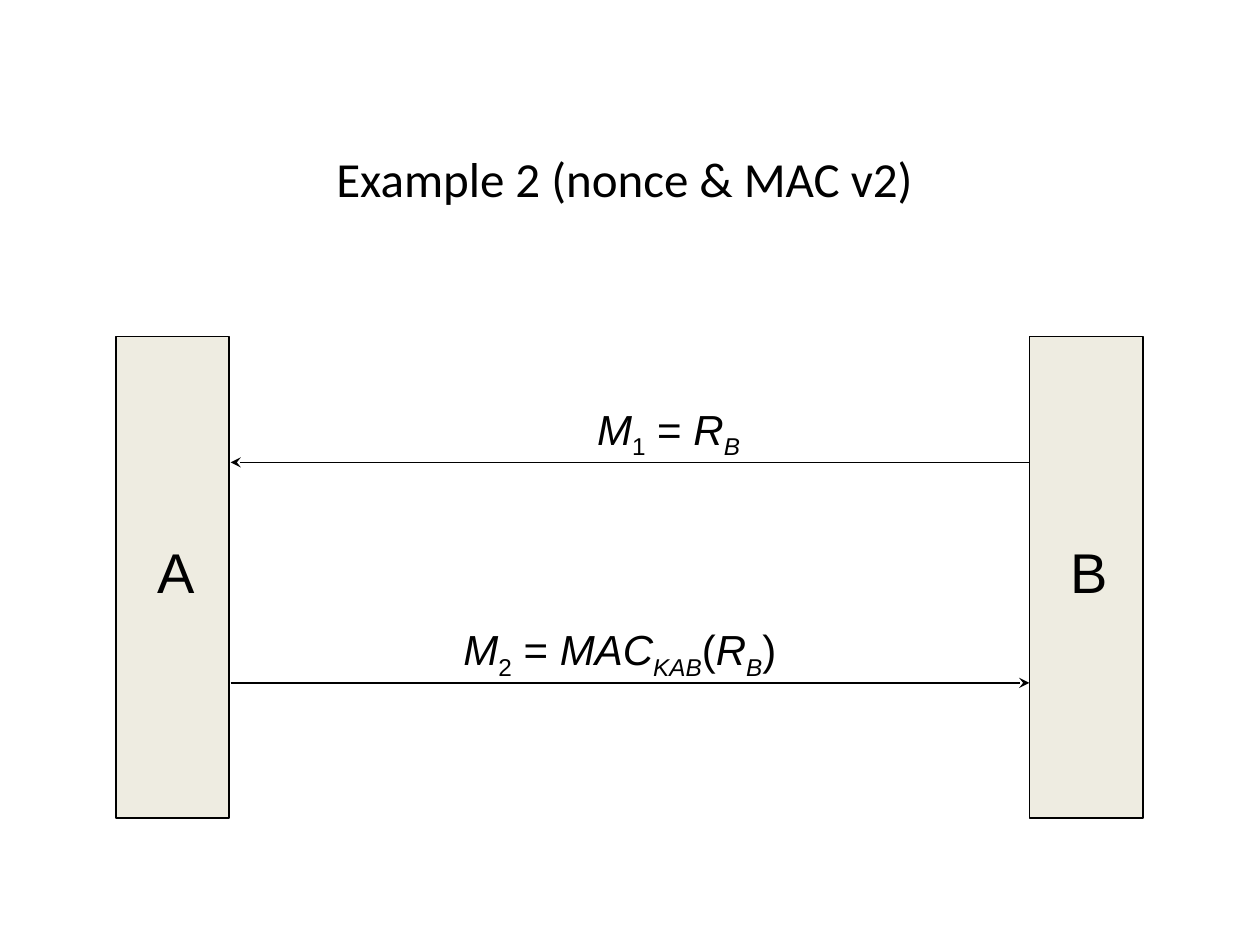
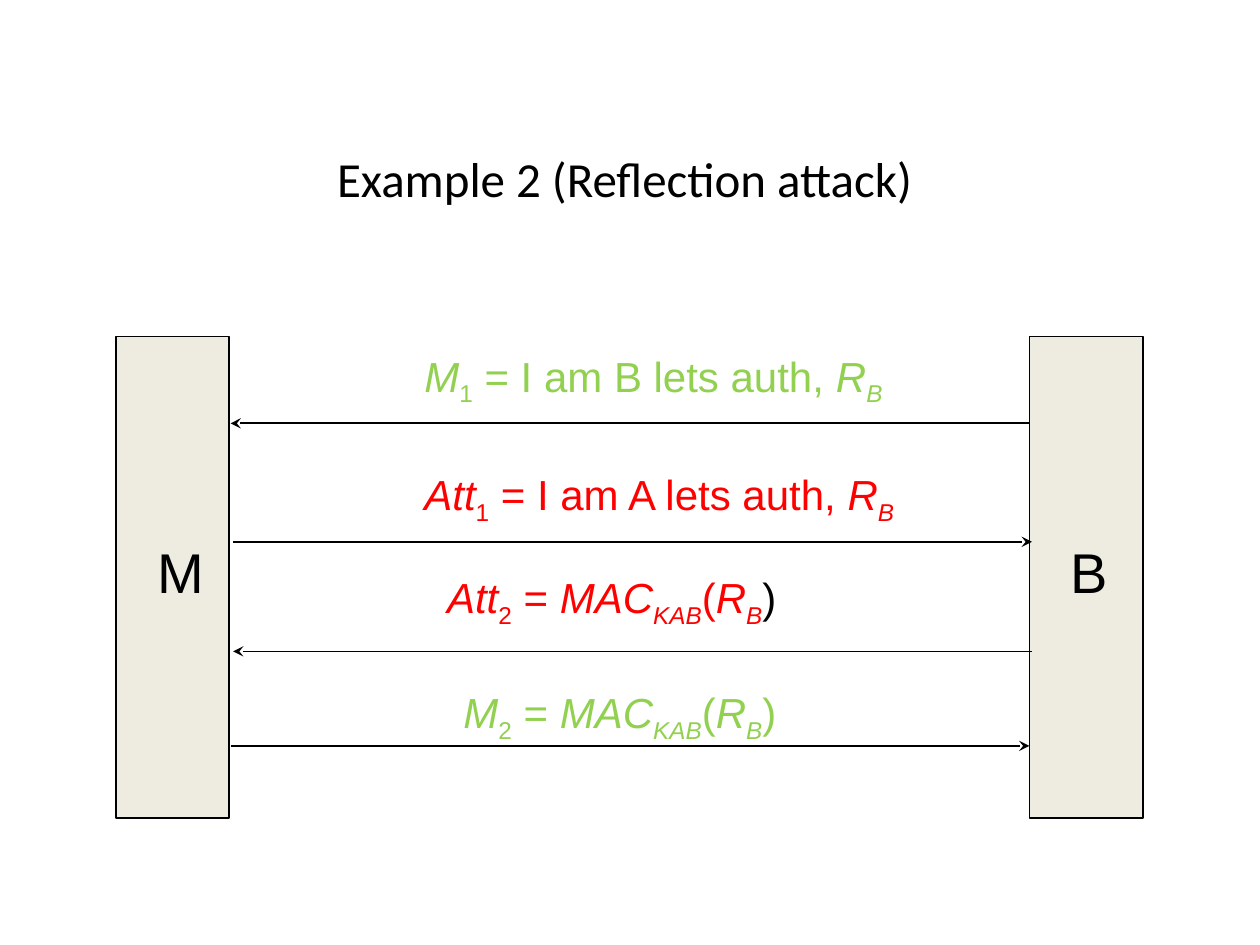
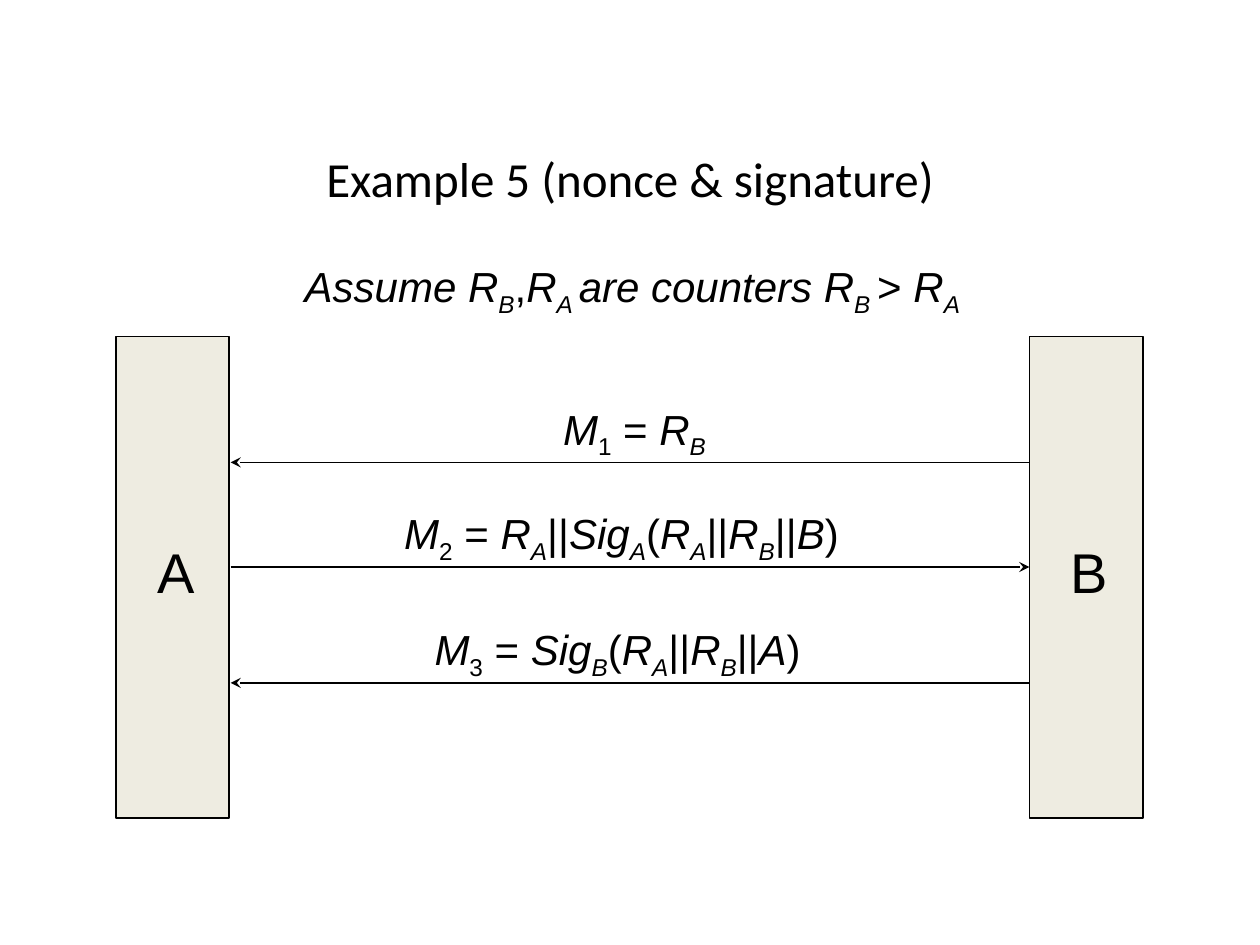
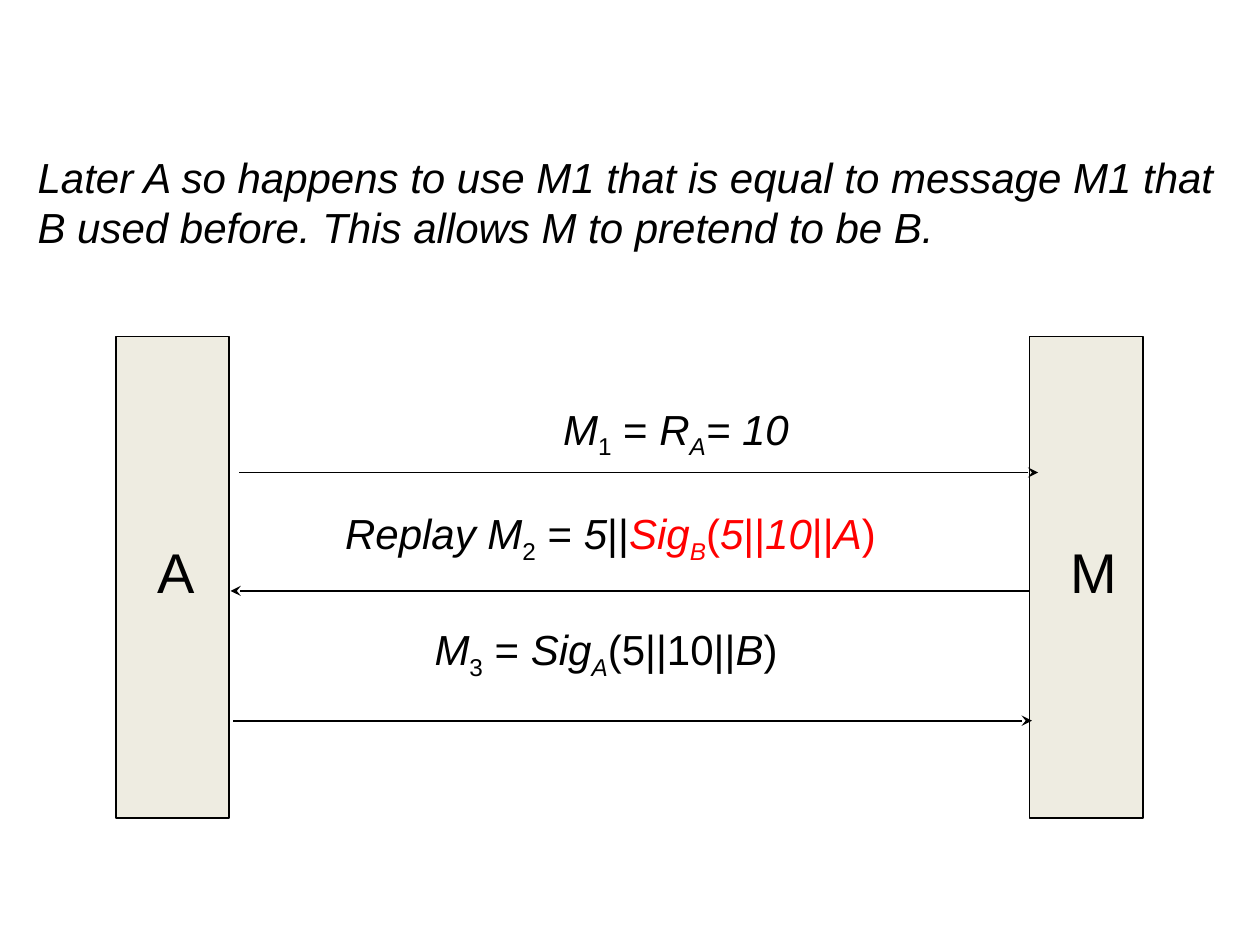
from collections import namedtuple

from lxml.etree import SubElement
from pptx import Presentation
from pptx.dml.color import RGBColor
from pptx.enum.shapes import MSO_CONNECTOR, MSO_SHAPE
from pptx.enum.text import MSO_ANCHOR, MSO_AUTO_SIZE, PP_ALIGN
from pptx.oxml.ns import qn
from pptx.util import Inches, Pt

BLACK = RGBColor(0x00, 0x00, 0x00)
WHITE = RGBColor(0xFF, 0xFF, 0xFF)
CREAM = RGBColor(0xEE, 0xEC, 0xE1)
GREEN = RGBColor(0x92, 0xD0, 0x50)
RED = RGBColor(0xFF, 0x00, 0x00)

Box = namedtuple("Box", "left top width height")
# Label place and arrow height are relative to the diagram;
# nudge moves the arrow sideways.
Message = namedtuple("Message", "left top width spans color arrow_y to_right nudge",
                     defaults=(0,))

TITLE_BOX = Box(1.26, 1.13, 7.48, 0.57)
DIAGRAM_BOX = Box(0.92, 2.67, 8.15, 3.82)
PARTY_WIDTH = 0.9
ARROW_INSET = 0.91
LABEL_HEIGHT = 0.51

# Span styles: italic, subscript, italic subscript
ITALIC, SUB, ITALIC_SUB = "i", "s", "is"


def symbol(name, index, index_style=ITALIC_SUB):
    return [(name, ITALIC), (index, index_style)]


BAR = [("||", "")]
EQUALS = [(" = ", "")]
R_A = symbol("R", "A")
R_B = symbol("R", "B")
MAC_OPEN = symbol("MAC", "KAB") + [("(", "")]
MAC_OF_R_B = MAC_OPEN + R_B + [(")", "")]


def numbered(name, number):
    return symbol(name, number, SUB) + EQUALS


def signature(signer, content):
    return symbol("Sig", signer) + [("(", "")] + content + [(")", "")]


def add_spans(para, spans, size, color=BLACK, font="Arial"):
    """Add (text, style[, own color]) spans to a paragraph."""
    for text, style, *own_color in spans:
        span = para.add_run()
        span.text = text
        span.font.name = font
        span.font.size = Pt(size)
        span.font.italic = "i" in style
        span.font.color.rgb = own_color[0] if own_color else color
        if "s" in style:
            span.font._element.set("baseline", "-25000")


def add_text(page, box, spans, size, color=BLACK, wrap=False):
    text_box = page.shapes.add_textbox(*map(Inches, box))
    frame = text_box.text_frame
    frame.word_wrap = wrap
    frame.auto_size = MSO_AUTO_SIZE.SHAPE_TO_FIT_TEXT
    add_spans(frame.paragraphs[0], spans, size, color)


def add_title(page, text):
    title = page.shapes.add_textbox(*map(Inches, TITLE_BOX))
    title.fill.solid()
    title.fill.fore_color.rgb = WHITE
    frame = title.text_frame
    frame.word_wrap = True
    frame.vertical_anchor = MSO_ANCHOR.MIDDLE
    para = frame.paragraphs[0]
    para.alignment = PP_ALIGN.CENTER
    add_spans(para, [(text, "")], 28, font="Calibri")


def add_party(page, box, name):
    bar = page.shapes.add_shape(MSO_SHAPE.RECTANGLE, *map(Inches, box))
    bar.shadow.inherit = False
    bar.fill.solid()
    bar.fill.fore_color.rgb = CREAM
    bar.line.color.rgb = BLACK
    bar.line.width = Pt(1)
    name_width = 0.58 if name == "M" else 0.5
    name_box = Box(box.left + 0.23, box.top + 1.55, name_width, 0.64)
    add_text(page, name_box, [(name, "")], 32)


def add_arrow(page, start, end, y):
    arrow = page.shapes.add_connector(
        MSO_CONNECTOR.STRAIGHT, Inches(start), Inches(y), Inches(end), Inches(y))
    arrow.line.color.rgb = BLACK
    arrow.line.width = Pt(1)
    SubElement(arrow.line._get_or_add_ln(), qn("a:tailEnd"), type="stealth")
    SubElement(arrow._element.spPr, qn("a:effectLst"))


def add_message(page, box, message):
    ends = [box.left + ARROW_INSET + message.nudge,
            box.left + box.width - PARTY_WIDTH + message.nudge]
    start, end = ends if message.to_right else reversed(ends)
    add_arrow(page, start, end, box.top + message.arrow_y)
    label_box = Box(box.left + message.left, box.top + message.top,
                    message.width, LABEL_HEIGHT)
    add_text(page, label_box, message.spans, 24, message.color)


def add_diagram(page, box, left_party, right_party, messages):
    right_edge = box.left + box.width - PARTY_WIDTH
    for left, name in ((box.left, left_party), (right_edge, right_party)):
        add_party(page, Box(left, box.top, PARTY_WIDTH, box.height), name)
    for message in messages:
        add_message(page, box, message)


def add_page(deck, parties, messages, title=None, note=None):
    """Add a page with an exchange, under a title, a (box, spans) note or both."""
    page = deck.slides.add_slide(deck.slide_layouts[6])
    add_diagram(page, DIAGRAM_BOX, *parties, messages)
    if title:
        add_title(page, title)
    if note:
        note_box, spans = note
        add_text(page, note_box, spans, 24, wrap=True)


# Nonce answered with a MAC
MAC_MESSAGES = [
    Message(3.72, 0.48, 1.38, numbered("M", "1") + R_B, BLACK, 1.0, False),
    Message(2.66, 2.23, 2.8, numbered("M", "2") + MAC_OF_R_B, BLACK, 2.75, True),
]

# The same nonce reflected by an attacker
REFLECTION_MESSAGES = [
    Message(2.35, 0.06, 3.91, symbol("M", "1", SUB) + [(" = I am B lets auth, ", "")] + R_B,
            GREEN, 0.69, False),
    Message(2.35, 1.0, 4.0, symbol("Att", "1", SUB) + [(" = I am A lets auth, ", "")] + R_B,
            RED, 1.63, True, 0.02),
    Message(2.53, 1.82, 3.0, numbered("Att", "2") + MAC_OPEN + R_B + [(")", "", BLACK)],
            RED, 2.5, False, 0.02),
    Message(2.66, 2.73, 2.9, numbered("M", "2") + MAC_OF_R_B, GREEN, 3.25, True),
]

# Nonces with signatures
SIGNATURE_MESSAGES = [
    Message(3.45, 0.48, 1.38, numbered("M", "1") + R_B, BLACK, 1.0, False),
    Message(2.19, 1.31, 3.78,
            numbered("M", "2") + R_A + BAR
            + signature("A", R_A + BAR + R_B + BAR + [("B", ITALIC)]),
            BLACK, 1.83, True),
    Message(2.43, 2.23, 3.21,
            numbered("M", "3") + signature("B", R_A + BAR + R_B + BAR + [("A", ITALIC)]),
            BLACK, 2.75, False),
]
COUNTER_NOTE = (
    Box(2.32, 2.02, 5.63, LABEL_HEIGHT),
    [("Assume R", ITALIC), ("B", ITALIC_SUB), (",", ""), ("R", ITALIC), ("A ", ITALIC_SUB),
     ("are counters R", ITALIC), ("B ", ITALIC_SUB), ("> ", "")] + R_A,
)

# An old signature replayed
REPLAYED = signature("B", [("5", ITALIC)] + BAR + [("10", ITALIC)] + BAR + [("A", ITALIC)])
REPLAY_MESSAGES = [
    Message(3.45, 0.48, 2.05, numbered("M", "1") + R_A + [("= 10", ITALIC)],
            BLACK, 1.08, True, 0.07),
    Message(1.72, 1.31, 4.49,
            numbered("Replay M", "2") + [("5", ITALIC)] + BAR
            + [(text, style, RED) for text, style in REPLAYED],
            BLACK, 2.02, False),
    Message(2.43, 2.23, 2.99,
            numbered("M", "3") + signature("A", [("5||10||", ""), ("B", ITALIC)]),
            BLACK, 3.05, True, 0.02),
]
REPLAY_NOTE = (
    Box(0.2, 1.15, 9.61, 0.91),
    [("Later A so happens to use M1 that is equal to message M1 that B used before. "
      "This allows M to pretend to be B.", ITALIC)],
)


def main():
    deck = Presentation()
    deck.slide_width = Inches(10)
    deck.slide_height = Inches(7.5)
    add_page(deck, "AB", MAC_MESSAGES, "Example 2 (nonce & MAC v2) ")
    add_page(deck, "MB", REFLECTION_MESSAGES, "Example 2 (Reflection attack) ")
    add_page(deck, "AB", SIGNATURE_MESSAGES, "Example 5 (nonce & signature)", COUNTER_NOTE)
    add_page(deck, "AM", REPLAY_MESSAGES, note=REPLAY_NOTE)
    deck.save("out.pptx")


if __name__ == "__main__":
    main()
